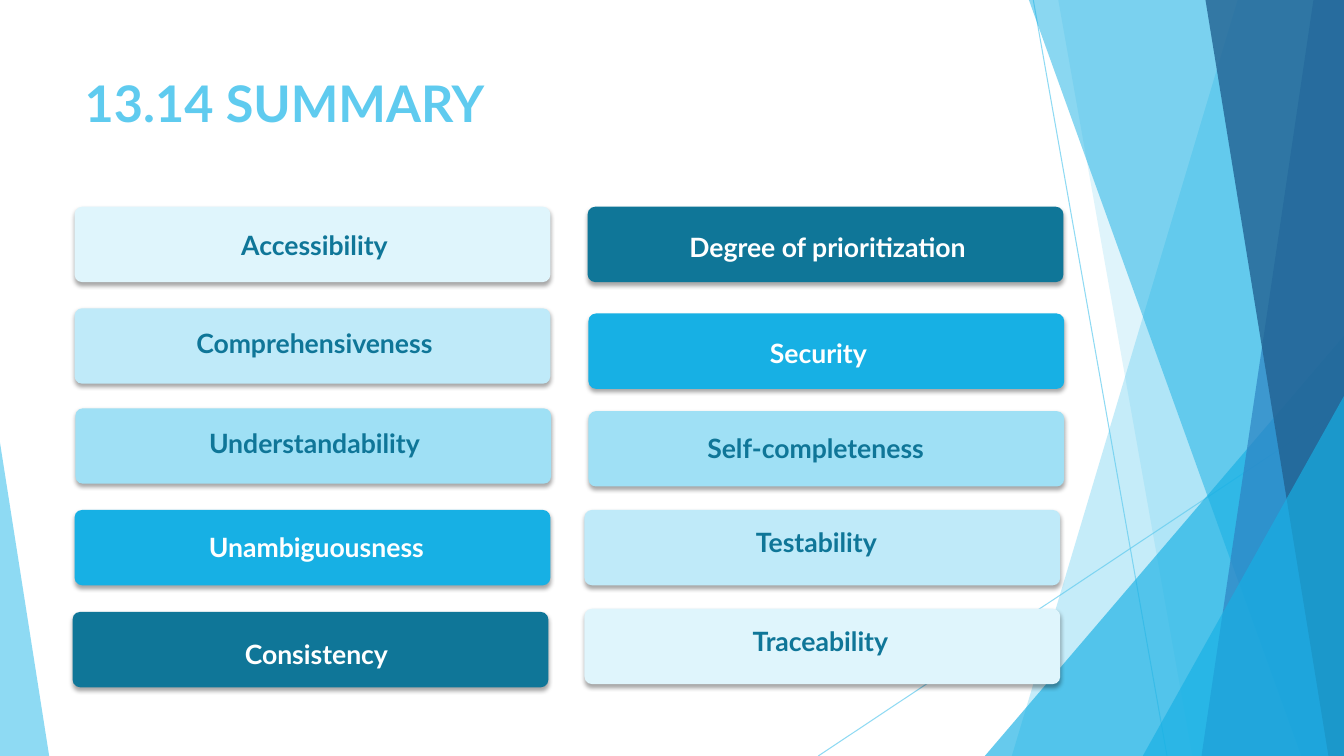
from pptx import Presentation
from pptx.dml.color import RGBColor
from pptx.enum.shapes import MSO_CONNECTOR, MSO_SHAPE
from pptx.enum.text import MSO_ANCHOR, PP_ALIGN
from pptx.oxml.ns import qn
from pptx.util import Cm, Pt
from lxml.etree import SubElement

SLIDE_WIDTH, SLIDE_HEIGHT = 33.87, 19.05
CARD_WIDTH, CARD_HEIGHT = 11.99, 1.9
LABEL_WIDTH = 11.79
FONT = "Lato"
COLORS = {
    "sky": "5FCBEF",
    "azure": "17B0E4",
    "blue": "2E83C3",
    "navy": "226292",
    "teal": "0F7698",
    "light": "9FE0F5",
    "lighter": "BFEAF9",
    "lightest": "DFF5FC",
    "white": "FFFFFF",
    "shadow": "000000",
}

# Facets: x at the top edge, x at the bottom edge, colour, opacity in percent
BACK_FACETS = [(31.19, 25.5, "sky", 36), (26.67, 30.05, "sky", 20)]
FRONT_FACETS = [
    (25.93, 32.79, "azure", 50),
    (33.1, 30.28, "blue", 70),
    (30.38, 33.48, "navy", 80),
]

# Cards: text, card position, label position, fill, text colour
CARDS = [
    ("Accessibility", (1.88, 5.21), (2.03, 5.26), "lightest", "teal"),
    ("Comprehensiveness", (1.88, 7.77), (2.03, 7.75), "lighter", "teal"),
    ("Understandability", (1.9, 10.29), (2.03, 10.26), "light", "teal"),
    ("Unambiguousness", (1.88, 12.85), (2.08, 12.88), "azure", "white"),
    ("Consistency", (1.83, 15.42), (2.08, 15.57), "teal", "white"),
    ("Degree of prioritization", (14.81, 5.21), (14.96, 5.31), "teal", "white"),
    ("Security", (14.83, 7.9), (14.73, 8), "azure", "white"),
    ("Self-completeness", (14.83, 10.36), (14.66, 10.39), "light", "teal"),
    ("Testability", (14.73, 12.85), (14.68, 12.75), "lighter", "teal"),
    ("Traceability", (14.73, 15.34), (14.78, 15.24), "lightest", "teal"),
]


def color(name):
    return RGBColor.from_string(COLORS[name])


def set_opacity(element, percent):
    for color_element in element.iter(qn("a:srgbClr")):
        SubElement(color_element, qn("a:alpha"), val=str(percent * 1000))


def paint(shape, fill, opacity=100):
    shape.shadow.inherit = False
    shape.line.fill.background()
    shape.fill.solid()
    shape.fill.fore_color.rgb = color(fill)
    if opacity < 100:
        set_opacity(shape.fill._xPr, opacity)


def add_thin_line(slide, start, end):
    line = slide.shapes.add_connector(
        MSO_CONNECTOR.STRAIGHT, *(Cm(value) for value in start + end))
    line.line.color.rgb = color("sky")
    line.line.width = Pt(0.75)
    properties = line._element.spPr
    set_opacity(properties, 70)
    SubElement(properties, qn("a:effectLst"))


def add_facet(slide, top_x, bottom_x, fill, opacity):
    builder = slide.shapes.build_freeform(Cm(top_x), Cm(0))
    corners = [(SLIDE_WIDTH, 0), (SLIDE_WIDTH, SLIDE_HEIGHT), (bottom_x, SLIDE_HEIGHT)]
    builder.add_line_segments([(Cm(x), Cm(y)) for x, y in corners], close=True)
    paint(builder.convert_to_shape(), fill, opacity)


def add_triangle(slide, left, top, width, apex, fill, opacity):
    triangle = slide.shapes.add_shape(
        MSO_SHAPE.ISOSCELES_TRIANGLE, Cm(left), Cm(top), Cm(width), Cm(SLIDE_HEIGHT - top))
    triangle.adjustments[0] = apex
    paint(triangle, fill, opacity)


def add_background(slide):
    add_thin_line(slide, (26.04, 0), (29.41, SLIDE_HEIGHT))
    add_thin_line(slide, (SLIDE_WIDTH, 10.24), (20.62, SLIDE_HEIGHT))
    for facet in BACK_FACETS:
        add_facet(slide, *facet)
    add_triangle(slide, 24.82, 8.46, 9.05, 1, "azure", 66)
    for facet in FRONT_FACETS:
        add_facet(slide, *facet)
    add_triangle(slide, 28.8, 9.98, 5.07, 1, "azure", 66)
    add_triangle(slide, 0, 11.15, 1.24, 0, "sky", 70)


def add_run(paragraph, text, size, text_color):
    run = paragraph.add_run()
    run.text = text
    run.font.name = FONT
    run.font.size = Pt(size)
    run.font.bold = True
    run.font.color.rgb = color(text_color)


def set_title(slide, text):
    title = slide.shapes.title
    title.left, title.top, title.width, title.height = Cm(1.88), Cm(1.7), Cm(10.69), Cm(2.06)
    title.text_frame.vertical_anchor = MSO_ANCHOR.TOP
    paragraph = title.text_frame.paragraphs[0]
    paragraph.alignment = PP_ALIGN.LEFT
    add_run(paragraph, text, 36, "sky")


def add_card(slide, position, fill):
    left, top = position
    card = slide.shapes.add_shape(
        MSO_SHAPE.ROUNDED_RECTANGLE, Cm(left), Cm(top), Cm(CARD_WIDTH), Cm(CARD_HEIGHT))
    card.adjustments[0] = 0.1
    paint(card, fill)
    # Soft shadow below the card
    effects = card._element.spPr.find(qn("a:effectLst"))
    shadow = SubElement(effects, qn("a:outerShdw"), blurRad=str(Pt(3)), dist=str(Pt(2)),
                        dir="5400000", rotWithShape="0")
    SubElement(shadow, qn("a:srgbClr"), val=COLORS["shadow"])
    set_opacity(shadow, 35)


def add_label(slide, text, position, text_color):
    left, top = position
    label = slide.shapes.add_textbox(Cm(left), Cm(top), Cm(LABEL_WIDTH), Cm(CARD_HEIGHT))
    frame = label.text_frame
    frame.word_wrap = True
    frame.vertical_anchor = MSO_ANCHOR.MIDDLE
    frame.margin_left = frame.margin_right = Cm(0.2)
    frame.margin_top = frame.margin_bottom = Cm(0.2)
    paragraph = frame.paragraphs[0]
    paragraph.alignment = PP_ALIGN.CENTER
    paragraph.line_spacing = 0.9
    add_run(paragraph, text, 19, text_color)


def main():
    presentation = Presentation()
    presentation.slide_width = Cm(SLIDE_WIDTH)
    presentation.slide_height = Cm(SLIDE_HEIGHT)
    slide = presentation.slides.add_slide(presentation.slide_layouts[5])

    add_background(slide)
    set_title(slide, "13.14 SUMMARY")
    for text, card_position, label_position, fill, text_color in CARDS:
        add_card(slide, card_position, fill)
        add_label(slide, text, label_position, text_color)

    presentation.save("out.pptx")


if __name__ == "__main__":
    main()
